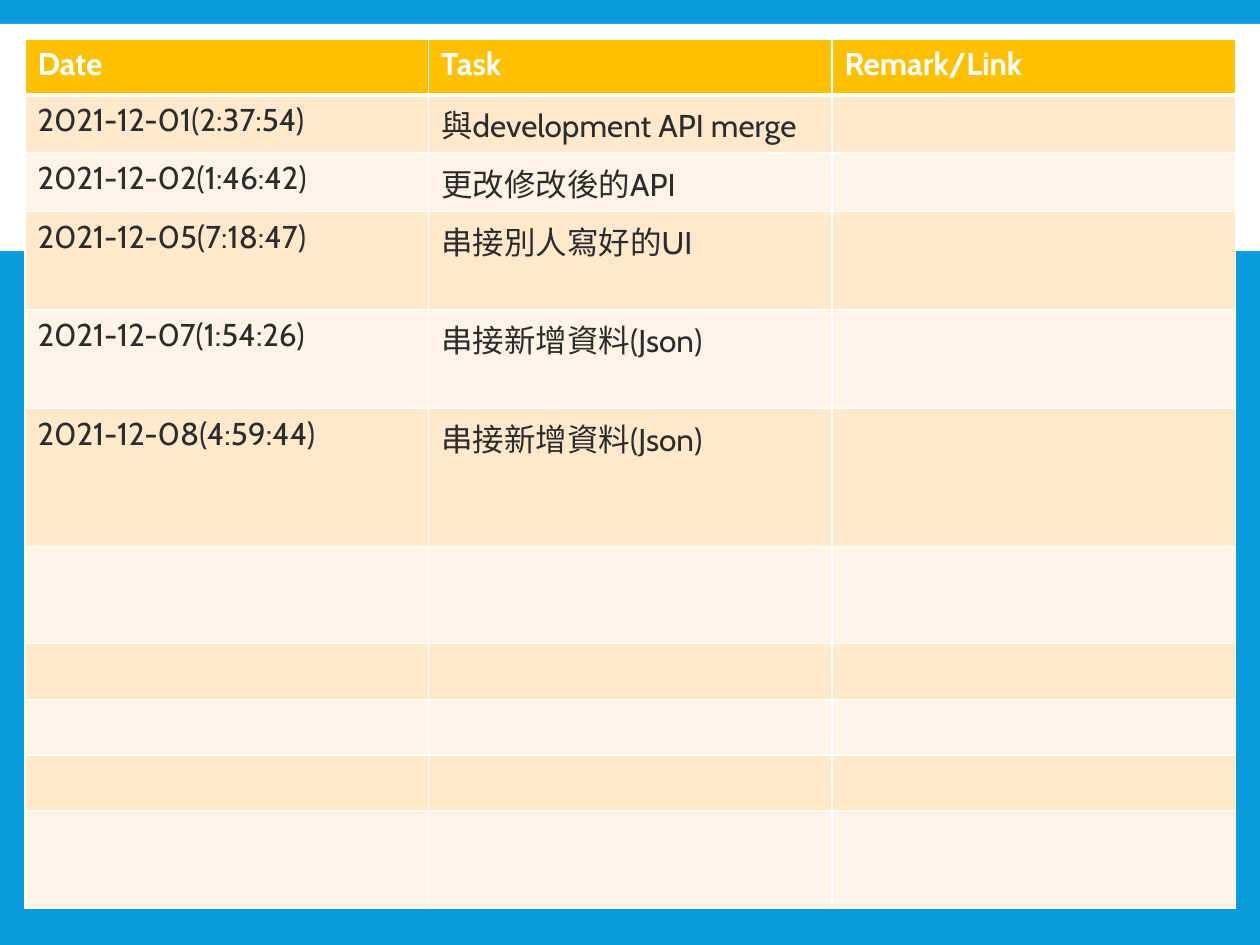
from lxml import etree
from pptx import Presentation
from pptx import util as u
from pptx.dml.color import RGBColor
from pptx.enum import shapes
from pptx.oxml.ns import qn

EMU_PER_PX = 914400 / 126


def px(n):
    return u.Emu(round(n * EMU_PER_PX))


def paint(fill, color):
    fill.solid()
    fill.fore_color.rgb = RGBColor.from_string(color)


prs = Presentation()
prs.slide_width, prs.slide_height = px(1260), px(945)
s = prs.slides.add_slide(prs.slide_layouts[6])
paint(s.background.fill, "099BDD")

band = s.shapes.add_shape(shapes.MSO_SHAPE.RECTANGLE, 0, px(24), px(1260), px(227))
band.shadow.inherit = False
paint(band.fill, "FFFFFF")
band.line.fill.background()

rows = [
    ("Date", "Task", "Remark/Link"),
    ("2021-12-01(2:37:54)", "與development API merge", ""),
    ("2021-12-02(1:46:42)", "更改修改後的API", ""),
    ("2021-12-05(7:18:47)", "串接別人寫好的UI", ""),
    ("2021-12-07(1:54:26)", "串接新增資料(Json)", ""),
    ("2021-12-08(4:59:44)", "串接新增資料(Json)", ""),
] + [("", "", "")] * 5
heights = [56, 58, 58, 98, 99, 138, 97, 56, 56, 56, 97]
col_width = 403.5

table = s.shapes.add_table(len(rows), 3, px(25), px(39),
                           px(3 * col_width), px(sum(heights))).table
for col in table.columns:
    col.width = px(col_width)

for i, (row, height) in enumerate(zip(rows, heights)):
    table.rows[i].height = px(height)
    header = i == 0
    fill_color = "FFC000" if header else ("FFF4E7", "FFE8CC")[i % 2]
    for j, words in enumerate(row):
        cell = table.cell(i, j)
        tcPr = cell._tc.get_or_add_tcPr()
        for side in "LRTB":
            # The rule between header and body is thicker
            thick = (header and side == "B") or (i == 1 and side == "T")
            ln = etree.SubElement(tcPr, qn(f"a:ln{side}"), w=str(u.Pt(3 if thick else 1)))
            line_fill = etree.SubElement(ln, qn("a:solidFill"))
            etree.SubElement(line_fill, qn("a:srgbClr"), val="FFFFFF")
        paint(cell.fill, fill_color)

        p = cell.text_frame.paragraphs[0]
        p.font.size = u.Pt(18)
        if words:
            r = p.add_run()
            r.text = words
            r.font.name = "Cabin"
            r.font.size = u.Pt(18)
            r.font.bold = header
            r.font.color.rgb = RGBColor.from_string("FFFFFF" if header else "2C2C2C")

prs.save("out.pptx")
